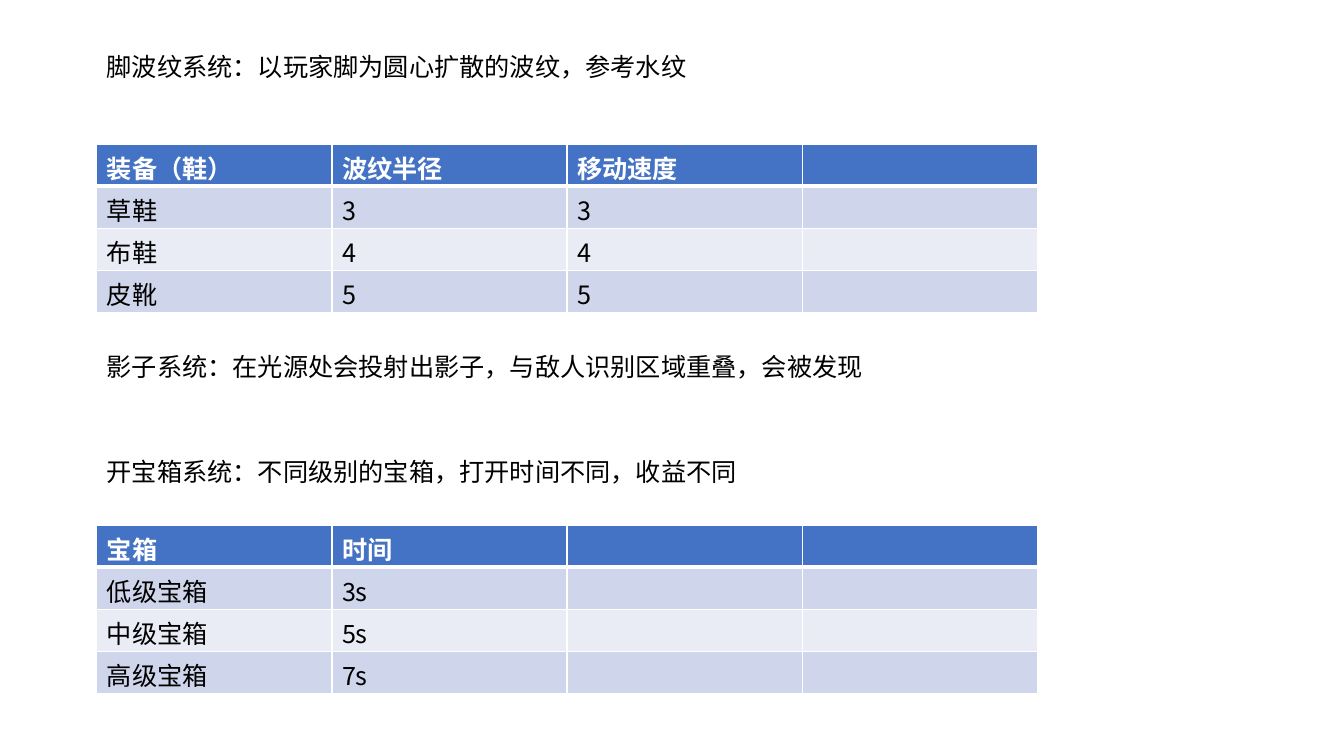
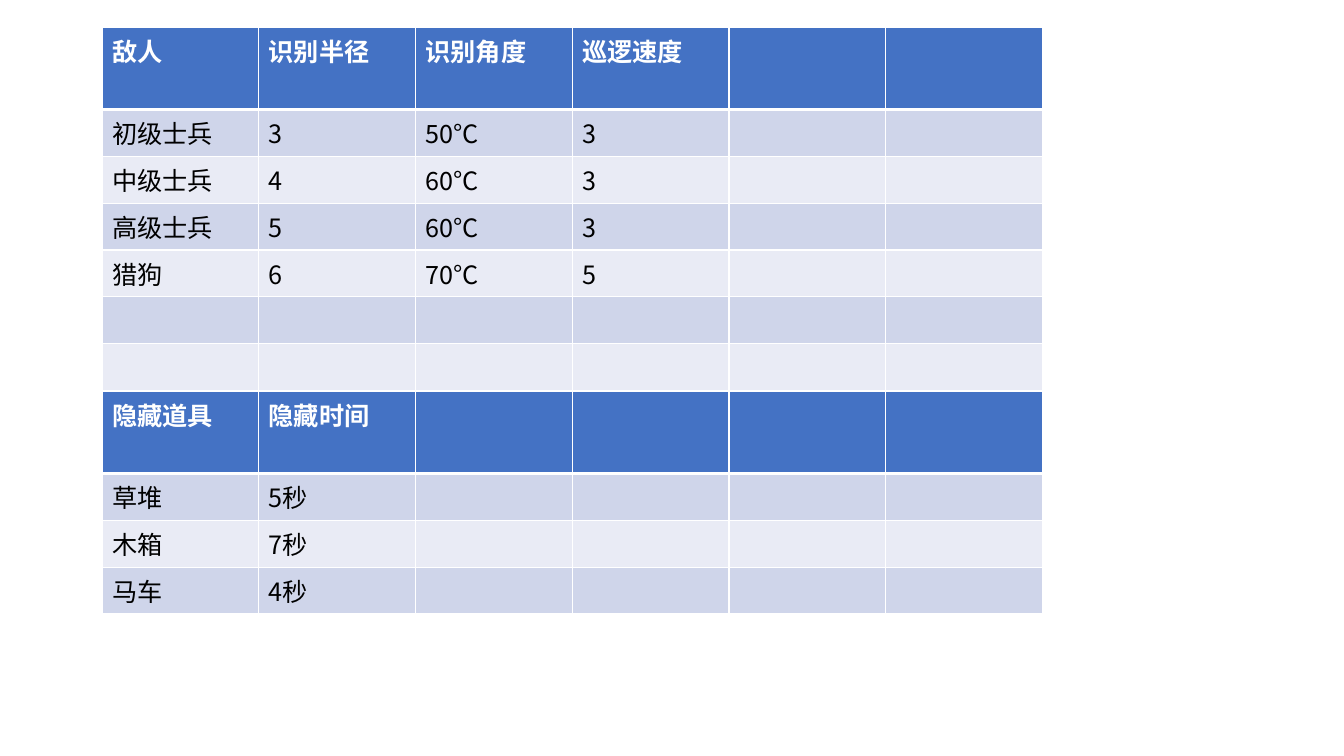
from lxml import etree
from pptx import Presentation
from pptx.dml.color import RGBColor
from pptx.enum import text
from pptx.oxml import ns
from pptx.util import Cm, Pt

WHITE = RGBColor(0xFF, 0xFF, 0xFF)
BLACK = RGBColor(0, 0, 0)
HEADER_BLUE = RGBColor(0x44, 0x72, 0xC4)
BANDS = (RGBColor(0xCF, 0xD5, 0xEA), RGBColor(0xE9, 0xEB, 0xF5))
FONT = "Noto Sans CJK SC"
TABLE_WIDTH = 23.7

SLIDES = [
    {
        "left": 2.44, "columns": 4, "header_height": 1.06, "row_height": 1.06,
        "notes": [
            (1.17, 15.65, "脚波纹系统：以玩家脚为圆心扩散的波纹，参考水纹"),
            (8.74, 22.91, "影子系统：在光源处会投射出影子，与敌人识别区域重叠，会被发现"),
            (11.38, 22.91, "开宝箱系统：不同级别的宝箱，打开时间不同，收益不同"),
        ],
        "tables": [
            (3.63, [("装备（鞋）", "波纹半径", "移动速度"),
                    ("草鞋", "3", "3"),
                    ("布鞋", "4", "4"),
                    ("皮靴", "5", "5")]),
            (13.23, [("宝箱", "时间"),
                     ("低级宝箱", "3s"),
                     ("中级宝箱", "5s"),
                     ("高级宝箱", "7s")]),
        ],
    },
    {
        "left": 2.57, "columns": 6, "header_height": 2.07, "row_height": 1.18,
        "notes": [],
        "tables": [
            (0.69, [("敌人", "识别半径", "识别角度", "巡逻速度"),
                    ("初级士兵", "3", "50°C", "3"),
                    ("中级士兵", "4", "60°C", "3"),
                    ("高级士兵", "5", "60°C", "3"),
                    ("猎狗", "6", "70°C", "5"),
                    (),
                    ()]),
            (9.86, [("隐藏道具", "隐藏时间"),
                    ("草堆", "5秒"),
                    ("木箱", "7秒"),
                    ("马车", "4秒")]),
        ],
    },
]


def write(frame, words, color, bold=False):
    frame.text = words
    for span in frame.paragraphs[0].runs:
        span.font.name = FONT
        span.font.size = Pt(18)
        span.font.bold = bold
        span.font.color.rgb = color
        east_asian = etree.SubElement(span.font._element, ns.qn("a:ea"))
        east_asian.set("typeface", FONT)


def set_borders(cell, top, bottom):
    properties = cell._tc.get_or_add_tcPr()
    widths = {"lnL": 1, "lnR": 1, "lnT": top, "lnB": bottom}
    for position, (side, width) in enumerate(widths.items()):
        line = etree.Element(ns.qn(f"a:{side}"), w=str(Pt(width)))
        fill = etree.SubElement(line, ns.qn("a:solidFill"))
        etree.SubElement(fill, ns.qn("a:srgbClr"), val=str(WHITE))
        properties.insert(position, line)


def add_note(page, left, top, width, words):
    box = page.shapes.add_textbox(Cm(left), Cm(top), Cm(width), Cm(1.02))
    frame = box.text_frame
    frame.word_wrap = True
    frame.auto_size = text.MSO_AUTO_SIZE.SHAPE_TO_FIT_TEXT
    write(frame, words, BLACK)


def add_grid(page, layout, top, rows):
    columns = layout["columns"]
    heights = [layout["header_height"]] + [layout["row_height"]] * (len(rows) - 1)
    table = page.shapes.add_table(
        len(rows), columns, Cm(layout["left"]), Cm(top), Cm(TABLE_WIDTH), Cm(sum(heights))
    ).table
    for r, (values, height) in enumerate(zip(rows, heights)):
        table.rows[r].height = Cm(height)
        header = r == 0
        for c in range(columns):
            cell = table.cell(r, c)
            cell.margin_bottom = 0
            cell.fill.solid()
            cell.fill.fore_color.rgb = HEADER_BLUE if header else BANDS[(r - 1) % 2]
            set_borders(cell, 3 if r == 1 else 1, 3 if header else 1)
            if c < len(values):
                write(cell.text_frame, values[c], WHITE if header else BLACK, header)


def main():
    deck = Presentation()
    deck.slide_width, deck.slide_height = Cm(33.87), Cm(19.05)
    for layout in SLIDES:
        page = deck.slides.add_slide(deck.slide_layouts[6])
        for top, width, words in layout["notes"]:
            add_note(page, layout["left"], top, width, words)
        for top, rows in layout["tables"]:
            add_grid(page, layout, top, rows)
    deck.save("out.pptx")


if __name__ == "__main__":
    main()
